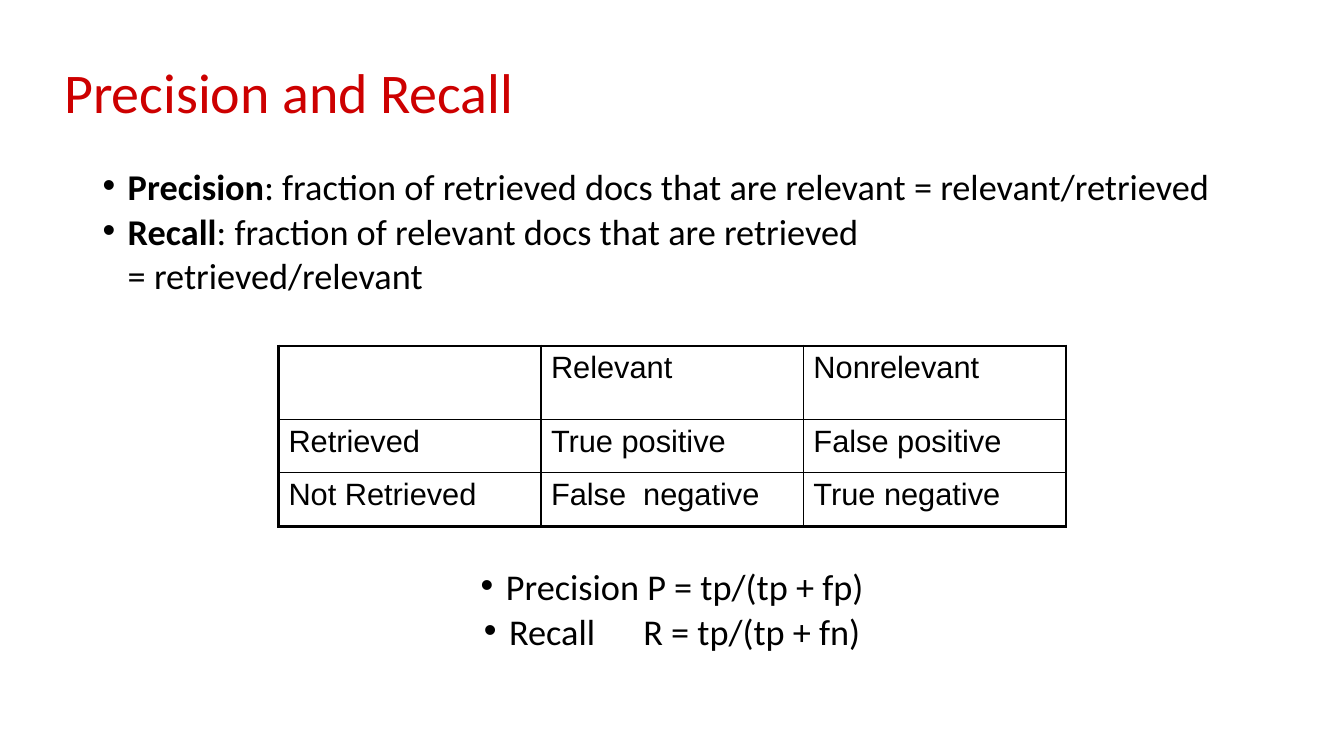
from dataclasses import dataclass

from lxml.etree import SubElement
from pptx import Presentation
from pptx.dml.color import RGBColor
from pptx.enum.text import MSO_ANCHOR, PP_ALIGN
from pptx.oxml.ns import qn
from pptx.slide import Slide
from pptx.table import _Cell
from pptx.text.text import Font, TextFrame
from pptx.util import Pt


@dataclass(frozen=True)
class Theme:
    title_color: RGBColor = RGBColor(0xCD, 0x00, 0x00)
    text_color: RGBColor = RGBColor(0x00, 0x00, 0x00)
    text_font: str = "Calibri"
    table_font: str = "Arial"
    title_size: float = 40
    body_size: float = 25.9
    table_size: float = 22
    outer_border: float = 2.25
    inner_border: float = 1


@dataclass(frozen=True)
class Box:
    left: float
    top: float
    width: float
    height: float


@dataclass(frozen=True)
class Piece:
    text: str
    bold: bool = False
    spacing: float = 0


@dataclass(frozen=True)
class Line:
    pieces: tuple[Piece, ...]
    bullet: bool = True


THEME = Theme()
BULLET_INDENT = 18
TITLE_BOX = Box(38.9, 15.8, 828, 104.4)
DEFINITIONS_BOX = Box(66.2, 122.4, 828, 110)
FORMULAS_BOX = Box(66.2, 408.1, 828, 75)
TABLE_BOX = Box(198.9, 247.1, 562.5, 128.9)
ROW_HEIGHTS = (52.5, 38.2, 38.2)

DEFINITIONS = (
    Line((Piece("Precision", bold=True),
          Piece(": fraction of retrieved docs that are relevant = relevant/retrieved"))),
    Line((Piece("Recall", bold=True),
          Piece(": fraction of relevant docs that are retrieved"))),
    Line((Piece("= retrieved/relevant"),), bullet=False),
)
FORMULAS = (
    Line((Piece("Precision P = tp/(tp + fp)"),)),
    Line((Piece("Recall"), Piece(" ", spacing=28.4), Piece("R = tp/(tp + fn)"))),
)
CONFUSION_MATRIX = (
    ("", "Relevant", "Nonrelevant"),
    ("Retrieved", "True positive", "False positive"),
    ("Not Retrieved", "False  negative", "True negative"),
)


def style_font(font: Font, name: str, size: float, color: RGBColor) -> None:
    font.name = name
    font.size = Pt(size)
    font.color.rgb = color


def add_text_frame(slide: Slide, box: Box) -> TextFrame:
    shape = slide.shapes.add_textbox(Pt(box.left), Pt(box.top), Pt(box.width), Pt(box.height))
    shape.text_frame.word_wrap = True
    return shape.text_frame


def add_title(slide: Slide, text: str) -> None:
    frame = add_text_frame(slide, TITLE_BOX)
    frame.vertical_anchor = MSO_ANCHOR.MIDDLE
    paragraph = frame.paragraphs[0]
    paragraph.text = text
    paragraph.line_spacing = 0.9
    style_font(paragraph.font, THEME.text_font, THEME.title_size, THEME.title_color)


def add_lines(slide: Slide, box: Box, lines: tuple[Line, ...], alignment: PP_ALIGN) -> None:
    frame = add_text_frame(slide, box)
    for index, line in enumerate(lines):
        paragraph = frame.add_paragraph() if index else frame.paragraphs[0]
        properties = paragraph._p.get_or_add_pPr()
        properties.set("marL", str(Pt(BULLET_INDENT)))
        if line.bullet:
            properties.set("indent", str(-Pt(BULLET_INDENT)))
            SubElement(properties, qn("a:buFont"), typeface="Arial")
            SubElement(properties, qn("a:buChar"), char="•")
        paragraph.alignment = alignment
        paragraph.line_spacing = 0.7
        paragraph.space_before = Pt(10)
        style_font(paragraph.font, THEME.text_font, THEME.body_size, THEME.text_color)
        for piece in line.pieces:
            run = paragraph.add_run()
            run.text = piece.text
            if piece.bold:
                run.font.bold = True
            if piece.spacing:
                run._r.get_or_add_rPr().set("spc", str(round(piece.spacing * 100)))


def set_borders(cell: _Cell, outer_sides: dict[str, bool]) -> None:
    properties = cell._tc.get_or_add_tcPr()
    for side, is_outer in outer_sides.items():
        width = THEME.outer_border if is_outer else THEME.inner_border
        border = SubElement(properties, qn(f"a:ln{side}"), w=str(Pt(width)))
        fill = SubElement(border, qn("a:solidFill"))
        SubElement(fill, qn("a:srgbClr"), val=str(THEME.text_color))


def add_confusion_matrix(slide: Slide) -> None:
    row_count, column_count = len(CONFUSION_MATRIX), len(CONFUSION_MATRIX[0])
    table = slide.shapes.add_table(
        row_count, column_count, Pt(TABLE_BOX.left), Pt(TABLE_BOX.top),
        Pt(TABLE_BOX.width), Pt(TABLE_BOX.height)).table
    table.first_row = False
    table.horz_banding = False
    for row, height in zip(table.rows, ROW_HEIGHTS):
        row.height = Pt(height)
    for row_index, texts in enumerate(CONFUSION_MATRIX):
        for column_index, text in enumerate(texts):
            cell = table.cell(row_index, column_index)
            set_borders(cell, {
                "L": column_index == 0,
                "R": column_index == column_count - 1,
                "T": row_index == 0,
                "B": row_index == row_count - 1,
            })
            cell.fill.background()
            paragraph = cell.text_frame.paragraphs[0]
            paragraph.text = text
            paragraph.space_before = Pt(4.4)
            style_font(paragraph.font, THEME.table_font, THEME.table_size, THEME.text_color)


def main() -> None:
    presentation = Presentation()
    presentation.slide_width = Pt(960)
    presentation.slide_height = Pt(540)
    slide = presentation.slides.add_slide(presentation.slide_layouts[6])
    add_title(slide, "Precision and Recall")
    add_lines(slide, DEFINITIONS_BOX, DEFINITIONS, PP_ALIGN.LEFT)
    add_confusion_matrix(slide)
    add_lines(slide, FORMULAS_BOX, FORMULAS, PP_ALIGN.CENTER)
    presentation.save("out.pptx")


if __name__ == "__main__":
    main()
